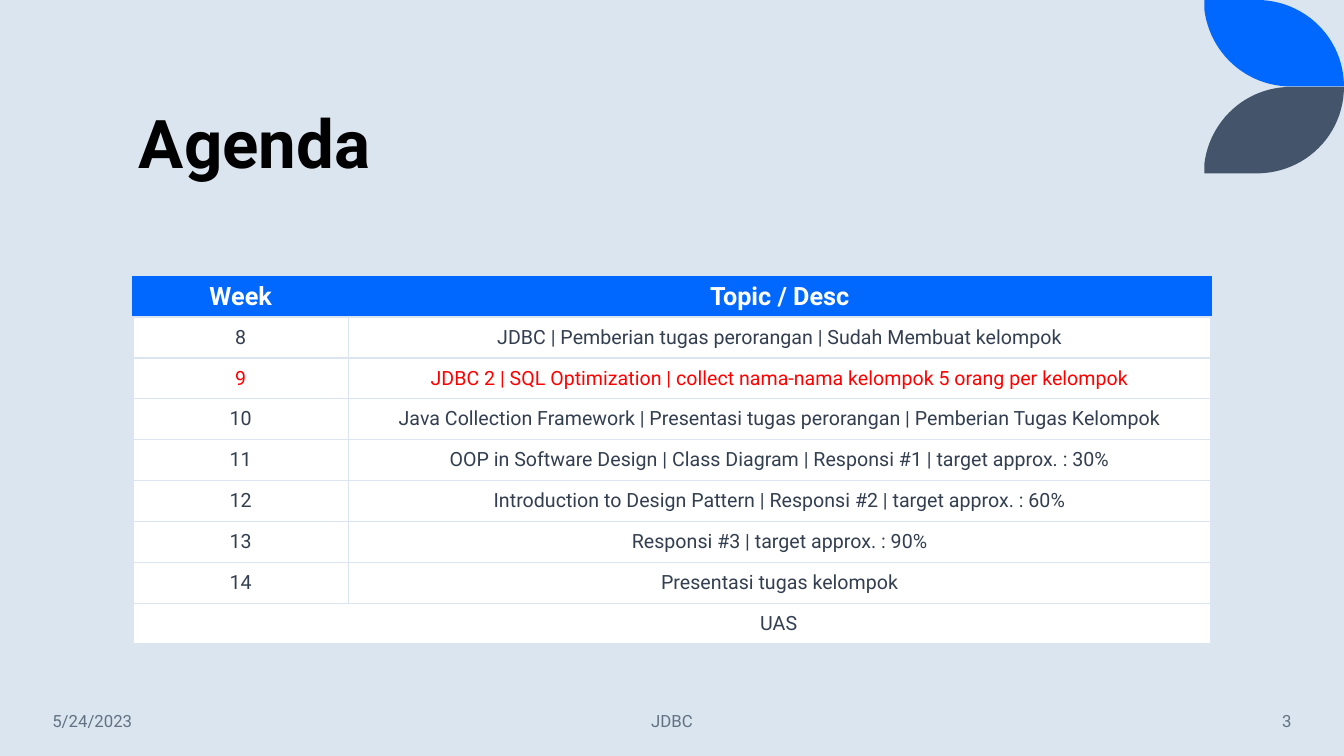
from lxml import etree
from pptx import Presentation
from pptx import util as u
from pptx.dml.color import RGBColor
from pptx.enum import text
from pptx.oxml import ns

BACKGROUND, BLUE, SLATE = "DAE5EF", "0068FF", "44546A"
WHITE, BLACK, RED, INK, GREY = "FFFFFF", "000000", "FF0000", "333F50", "637183"
LEFT, CENTER, RIGHT = text.PP_ALIGN.LEFT, text.PP_ALIGN.CENTER, text.PP_ALIGN.RIGHT
MIDDLE, BOTTOM = text.MSO_ANCHOR.MIDDLE, text.MSO_ANCHOR.BOTTOM

AGENDA = [
    ("Week", "Topic / Desc"),
    ("8", "JDBC | Pemberian tugas perorangan | Sudah Membuat kelompok"),
    ("9", "JDBC 2 | SQL Optimization | collect nama-nama kelompok 5 orang per kelompok"),
    ("10", "Java Collection Framework | Presentasi tugas perorangan | Pemberian Tugas Kelompok"),
    ("11", "OOP in Software Design | Class Diagram | Responsi #1 | target approx. : 30%"),
    ("12", "Introduction to Design Pattern | Responsi #2 | target approx. : 60%"),
    ("13", "Responsi #3 | target approx. : 90%"),
    ("14", "Presentasi tugas kelompok"),
    ("UAS", ""),
]
CURRENT_WEEK = "9"


def color(value):
    """Turn a hex string into a colour."""
    return RGBColor.from_string(value)


def curve(start, first, second, end, steps=24):
    """Return points along a cubic curve, without its start."""
    points = []
    for step in range(1, steps + 1):
        t = step / steps
        weights = ((1 - t) ** 3, 3 * t * (1 - t) ** 2, 3 * t * t * (1 - t), t ** 3)
        points.append(tuple(
            sum(w * p for w, p in zip(weights, axis))
            for axis in zip(start, first, second, end)
        ))
    return points


class SlideBuilder:
    """Hold the style and the current slide."""

    font = "Roboto"

    def __init__(self, deck):
        """Add a blank page with the background colour."""
        self.page = deck.slides.add_slide(deck.slide_layouts[6])
        fill = self.page.background.fill
        fill.solid()
        fill.fore_color.rgb = color(BACKGROUND)

    def add_span(self, para, words, size, ink, align=LEFT, bold=False):
        """Add one styled run to a paragraph."""
        para.alignment = align
        span = para.add_run()
        span.text = words
        span.font.name = self.font
        span.font.size = u.Pt(size)
        span.font.bold = bold
        span.font.color.rgb = color(ink)

    def label(self, area, words, size, ink, align=LEFT, bold=False, anchor=MIDDLE):
        """Add a text box."""
        box = self.page.shapes.add_textbox(*map(u.Cm, area))
        box.text_frame.word_wrap = True
        box.text_frame.vertical_anchor = anchor
        para = box.text_frame.paragraphs[0]
        para.line_spacing = 0.9 if bold else 1.0
        self.add_span(para, words, size, ink, align, bold)

    def leaf(self, base, direction, fill):
        """Draw a leaf from its base line, downwards (1) or upwards (-1)."""
        points = [(31.67, 0)]
        points += curve((31.67, 0), (32.89, 0), (33.87, 0.97), (33.87, 2.18))
        points.append((32.54, 2.18))
        points += curve((32.54, 2.18), (31.39, 2.18), (30.48, 1.32), (30.35, 0.23))
        placed = [(u.Cm(x), u.Cm(base + direction * y)) for x, y in points]
        builder = self.page.shapes.build_freeform(u.Cm(30.35), u.Cm(base))
        builder.add_line_segments(placed, close=True)
        shape = builder.convert_to_shape()
        shape.shadow.inherit = False
        shape.fill.solid()
        shape.fill.fore_color.rgb = color(fill)
        shape.line.fill.background()

    def style_cell(self, cell, fill, edges):
        """Set the borders and fill of a cell; edges run left, right, top, bottom."""
        props = cell._tc.get_or_add_tcPr()
        for side, edge in zip("LRTB", edges):
            line = etree.SubElement(props, ns.qn(f"a:ln{side}"), w=str(u.Pt(1)))
            solid = etree.SubElement(line, ns.qn("a:solidFill"))
            etree.SubElement(solid, ns.qn("a:srgbClr"), val=edge)
        cell.fill.solid()
        cell.fill.fore_color.rgb = color(fill)
        cell.vertical_anchor = MIDDLE

    def table(self, left, top, widths, row_height, rows):
        """Add the agenda table with its last row merged."""
        frame = self.page.shapes.add_table(
            len(rows), len(widths), u.Cm(left), u.Cm(top),
            u.Cm(sum(widths)), u.Cm(row_height * len(rows)))
        grid = frame.table
        grid.first_row = grid.horz_banding = False
        for column, width in zip(grid.columns, widths):
            column.width = u.Cm(width)
        for index, values in enumerate(rows):
            grid.rows[index].height = u.Cm(row_height)
            header = index == 0
            fill = BLUE if header else WHITE
            edges = [BLUE] * 3 + [BACKGROUND] if header else [BACKGROUND] * 4
            size = 18 if header else 14
            ink = WHITE if header else RED if values[0] == CURRENT_WEEK else INK
            for column, words in enumerate(values):
                cell = grid.cell(index, column)
                self.style_cell(cell, fill, edges)
                if words:
                    para = cell.text_frame.paragraphs[0]
                    self.add_span(para, words, size, ink, CENTER, header)
        last = grid.cell(len(rows) - 1, 0)
        last.merge(grid.cell(len(rows) - 1, len(widths) - 1))
        indent = last.text_frame.paragraphs[0]._p.get_or_add_pPr()
        indent.set("marL", str(u.Cm(5.38)))
        indent.set("indent", "0")


def main():
    """Build and save the agenda slide."""
    deck = Presentation()
    deck.slide_width, deck.slide_height = u.Cm(33.87), u.Cm(19.05)
    slide = SlideBuilder(deck)
    slide.leaf(0, 1, BLUE)
    slide.leaf(4.37, -1, SLATE)
    slide.label((3.25, 1.07, 27.15, 3.68), "Agenda", 48, BLACK, bold=True, anchor=BOTTOM)
    slide.table(3.35, 6.96, (5.43, 21.74), 1.03, AGENDA)
    for left, width, words, align in (
        (1.07, 4.72, "5/24/2023", LEFT),
        (11.22, 11.43, "JDBC", CENTER),
        (28.2, 4.6, "3", RIGHT),
    ):
        slide.label((left, 17.66, width, 1.02), words, 12, GREY, align)
    deck.save("out.pptx")


if __name__ == "__main__":
    main()
